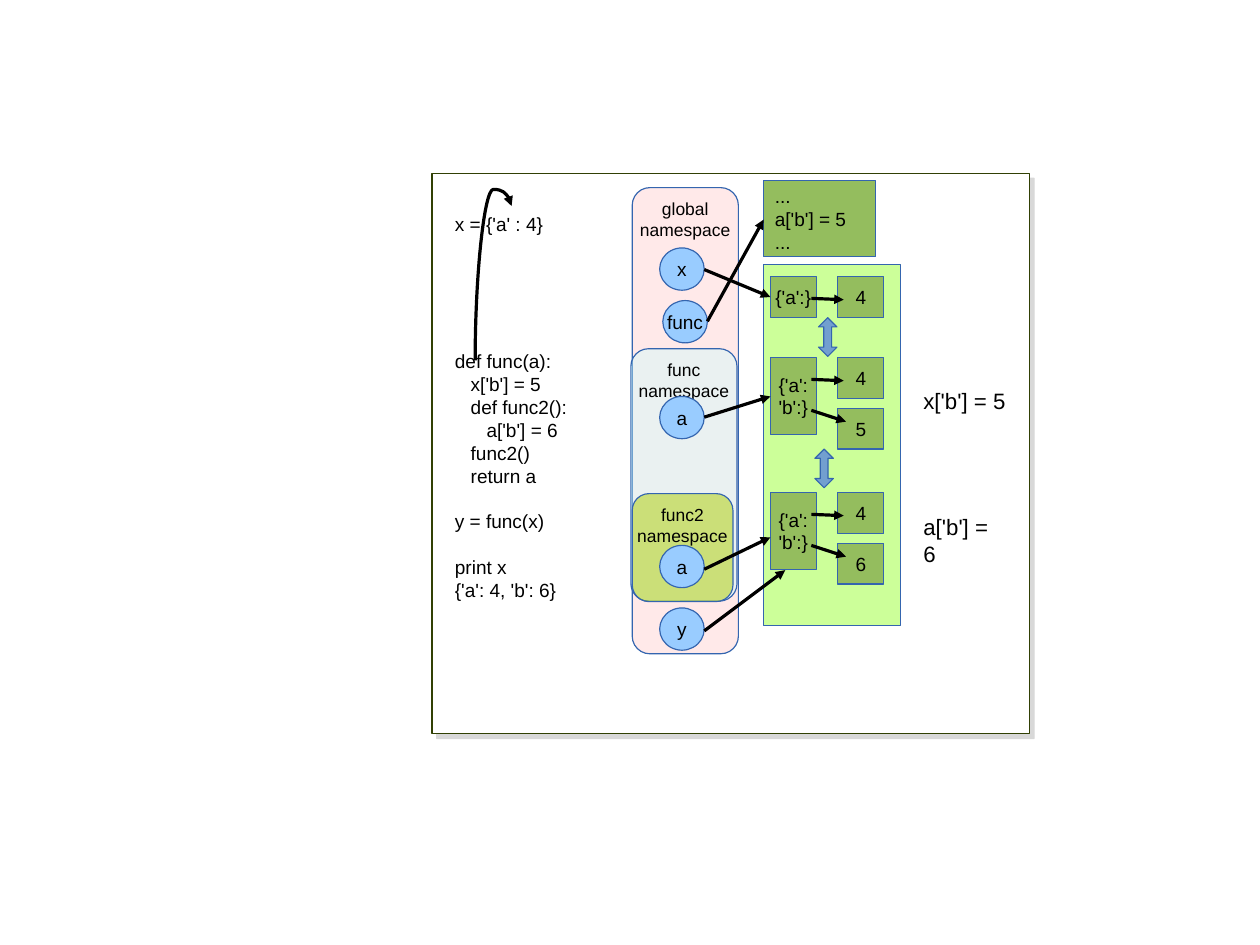
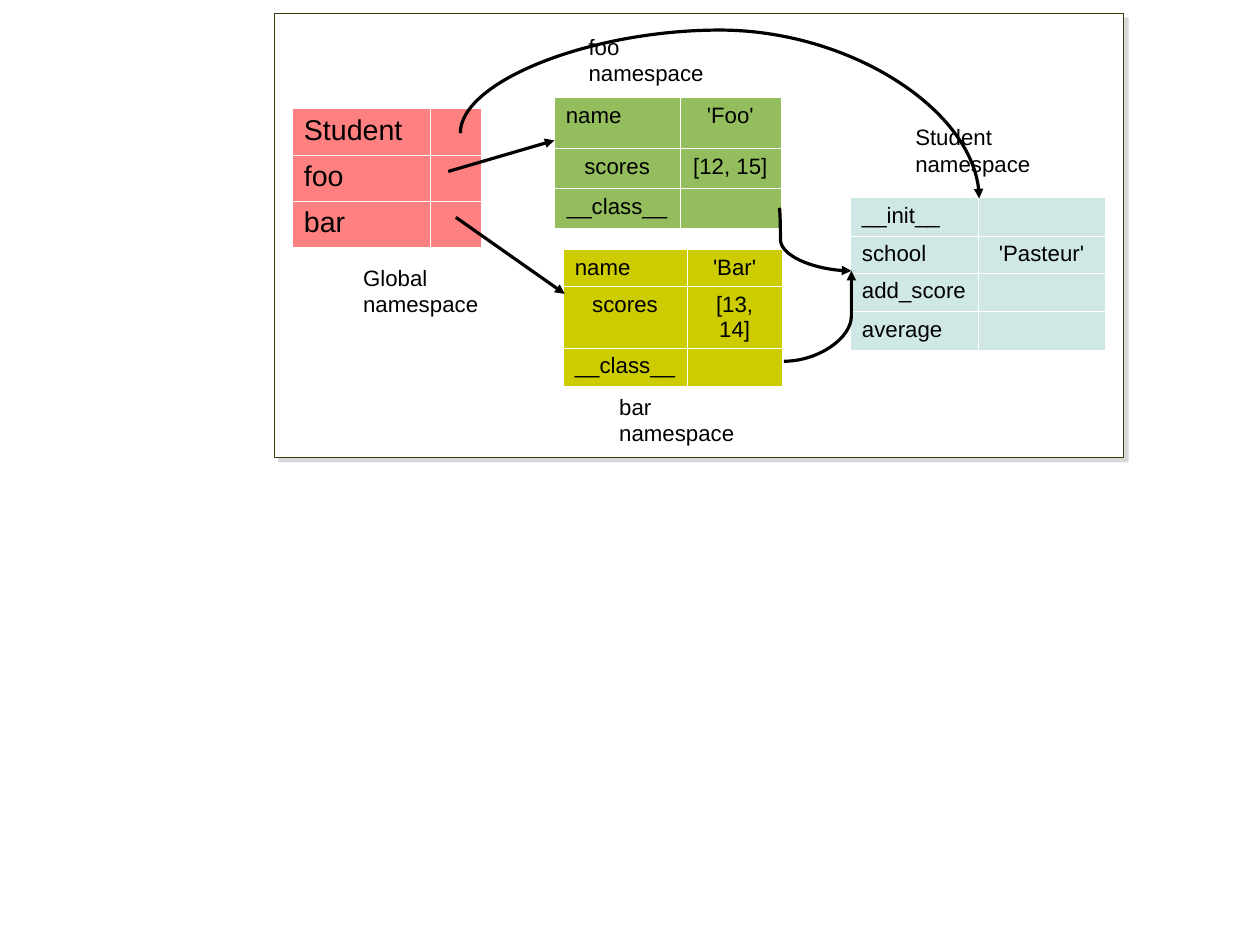
"""Build two slides on namespaces: nested function scopes and class instances."""
from lxml.etree import SubElement
from pptx import Presentation
from pptx.dml.color import RGBColor
from pptx.enum.shapes import MSO_CONNECTOR, MSO_SHAPE
from pptx.enum.text import MSO_ANCHOR, PP_ALIGN
from pptx.oxml.ns import qn
from pptx.util import Cm, Pt

COLORS = {
    "white": "FFFFFF", "black": "000000", "frame": "314004", "shadow": "808080",
    "outline": "3465AF", "name": "99CCFF", "heap": "CCFF99", "object": "94BD5E",
    "link": "729FCF", "global": "FFC8C8", "func": "CCFFFF", "func2": "AECF00",
    "red": "FF8080", "yellow": "CCCC00", "teal": "CFE7E5",
}
FONT = "Arial"
LEFT, CENTER = PP_ALIGN.LEFT, PP_ALIGN.CENTER
RECTANGLE = MSO_SHAPE.RECTANGLE


def add_box(page, preset, place, lines=(), fill=None, opacity=None, line="outline",
            size=12, align=CENTER, anchor=MSO_ANCHOR.MIDDLE, wrap=False):
    """Add a shape, or a text box without preset; lines are (blank rows above, text)."""
    lengths = [Cm(value) for value in place]
    if preset is None:
        box = page.shapes.add_textbox(*lengths)
    else:
        box = page.shapes.add_shape(preset, *lengths)
        box.shadow.inherit = False
        box.fill.solid()
        box.fill.fore_color.rgb = RGBColor.from_string(COLORS[fill])
        box.line.color.rgb = RGBColor.from_string(COLORS[line])
        box.line.width = 0
        if opacity:
            color = box.fill._xPr.find(qn("a:solidFill"))[0]
            SubElement(color, qn("a:alpha"), val=str(opacity * 1000))
    frame = box.text_frame
    frame.word_wrap = wrap
    frame.vertical_anchor = anchor
    for index, (blanks, text) in enumerate(lines):
        para = frame.paragraphs[0] if index == 0 else frame.add_paragraph()
        pitch = 1.2 * size
        for name, value in {"alignment": align, "line_spacing": Pt(pitch),
                            "space_before": Pt(blanks * pitch)}.items():
            setattr(para, name, value)
        span = para.add_run()
        span.text = text
        for name, value in {"name": FONT, "size": Pt(size)}.items():
            setattr(span.font, name, value)
        span.font.color.rgb = RGBColor.from_string(COLORS["black"])
    return box


def connect(page, start, end, bend=None, rotation=0):
    """Add an arrow, curved when a bend is given."""
    kind = MSO_CONNECTOR.STRAIGHT if bend is None else MSO_CONNECTOR.CURVE
    arrow = page.shapes.add_connector(kind, *[Cm(value) for value in start + end])
    arrow.line.color.rgb = RGBColor.from_string(COLORS["black"])
    arrow.line.width = 0
    SubElement(arrow.line._get_or_add_ln(), qn("a:tailEnd"), type="triangle")
    properties = arrow._element.spPr
    SubElement(properties, qn("a:effectLst"))
    if bend is not None:
        guides = properties.find(qn("a:prstGeom")).get_or_add_avLst()
        SubElement(guides, qn("a:gd"), name="adj1", fmla=f"val {round(bend * 100000)}")
    if rotation:
        properties.find(qn("a:xfrm")).set("rot", str(rotation * 60000))


deck = Presentation()
deck.slide_width, deck.slide_height = Cm(28), Cm(21)
pages = []
for place in [(9.6, 3.86, 13.28, 12.45), (6.1, 0.3, 18.87, 9.86)]:
    page = deck.slides.add_slide(deck.slide_layouts[6])
    panel = add_box(page, RECTANGLE, place, fill="white", line="frame")
    panel.line.width = Pt(0.71)
    effects = panel._element.spPr.find(qn("a:effectLst"))
    shadow = SubElement(effects, qn("a:outerShdw"), dist=str(Pt(4.1)), dir="2700000",
                        algn="tl", rotWithShape="0")
    tint = SubElement(shadow, qn("a:srgbClr"), val=COLORS["shadow"])
    SubElement(tint, qn("a:alpha"), val="30000")
    pages.append(page)
scopes, classes = pages

code = [
    (0, "x = {'a' : 4}"),
    (5, "def func(a):"),
    (0, "   x['b'] = 5"),
    (0, "   def func2():"),
    (0, "      a['b'] = 6"),
    (0, "   func2()"),
    (0, "   return a"),
    (1, "y = func(x)"),
    (1, "print x"),
    (0, "{'a': 4, 'b': 6}"),
]
add_box(scopes, None, (9.86, 4.6, 3, 9.32), code, align=LEFT, anchor=MSO_ANCHOR.TOP)

for name, opacity, place in [
    ("global", 40, (14.05, 4.17, 2.36, 10.36)),
    ("func", 40, (14.02, 7.75, 2.36, 5.61)),
    ("func2", 50, (14.05, 10.97, 2.24, 2.4)),
]:
    add_box(scopes, MSO_SHAPE.ROUNDED_RECTANGLE, place, [(0, name), (0, "namespace")],
            fill=name, opacity=opacity, size=11, anchor=MSO_ANCHOR.TOP)

add_box(scopes, RECTANGLE, (16.97, 5.87, 3.05, 8.03), fill="heap")
add_box(scopes, RECTANGLE, (16.97, 4.01, 2.49, 1.7),
        [(0, "..."), (0, "a['b'] = 5"), (0, "...")], fill="object", align=LEFT)

for name, left, top in [("x", 14.66, 5.51), ("func", 14.73, 6.68), ("a", 14.66, 8.81),
                        ("a", 14.66, 12.12), ("y", 14.66, 13.51)]:
    add_box(scopes, MSO_SHAPE.OVAL, (left, top, 0.99, 0.94), [(0, name)], fill="name")

value_step = 1.12
for top, height, keys, values in [
    (6.15, 0.91, ["{'a':}"], ["4"]),
    (7.95, 1.7, ["{'a':", "'b':}"], ["4", "5"]),
    (10.95, 1.7, ["{'a':", "'b':}"], ["4", "6"]),
]:
    add_box(scopes, RECTANGLE, (17.12, top, 1.02, height),
            [(0, key) for key in keys], fill="object")
    for row, value in enumerate(values):
        add_box(scopes, RECTANGLE, (18.62, top + row * value_step, 1.02, 0.91),
                [(0, value)], fill="object")
        connect(scopes, (18.03, top + 0.48 + row * 0.69),
                (18.75 + row * 0.05, top + 0.51 + row * 0.91))

for start, end in [
    ((15.65, 5.99), (17.12, 6.6)),
    ((15.72, 7.14), (16.97, 4.88)),
    ((15.65, 9.27), (17.12, 8.81)),
    ((15.65, 12.65), (17.12, 11.94)),
    ((15.65, 14.02), (17.45, 12.67)),
]:
    connect(scopes, start, end)
connect(scopes, (12.68, 6.7), (9.25, 5.89), bend=1.108, rotation=90)

for left, top in [(18.19, 7.06), (18.11, 9.98)]:
    link = add_box(scopes, MSO_SHAPE.UP_DOWN_ARROW, (left, top, 0.41, 0.86), fill="link")
    link.adjustments[0], link.adjustments[1] = 0.5, 0.42

for top, text in [(8.48, "x['b'] = 5"), (11.28, "a['b'] = 6")]:
    add_box(scopes, None, (20.27, top, 2.34, 0.81), [(0, text)], size=14, align=LEFT,
            anchor=MSO_ANCHOR.TOP)

tables = [
    ("object", 14, (12.32, 2.16), (2.79, 2.24), (1.14, 0.89, 0.87),
     [("name", "'Foo'"), ("scores", "[12, 15]"), ("__class__", "")]),
    ("teal", 14, (18.9, 4.39), (2.83, 2.83), (0.82,) * 4,
     [("__init__", ""), ("school", "'Pasteur'"), ("add_score", ""), ("average", "")]),
    ("red", 18, (6.5, 2.41), (3.05, 1.14), (0.99, 0.97, 0.97),
     [("Student", ""), ("foo", ""), ("bar", "")]),
    ("yellow", 14, (12.52, 5.54), (2.74, 2.13), (0.82, 1.37, 0.82),
     [("name", "'Bar'"), ("scores", "[13, 14]"), ("__class__", "")]),
]
for fill, size, corner, widths, heights, rows in tables:
    extent = corner + (sum(widths), sum(heights))
    table = classes.shapes.add_table(len(rows), len(widths),
                                     *[Cm(value) for value in extent]).table
    table.first_row = table.horz_banding = False
    for column, width in zip(table.columns, widths):
        column.width = Cm(width)
    for row, height in zip(table.rows, heights):
        row.height = Cm(height)
    for row_index, texts in enumerate(rows):
        for column_index, text in enumerate(texts):
            cell = table.cell(row_index, column_index)
            borders = cell._tc.get_or_add_tcPr()
            for side in ("lnL", "lnR", "lnT", "lnB"):
                border = SubElement(borders, qn(f"a:{side}"), w=str(Pt(0.06)))
                paint = SubElement(border, qn("a:solidFill"))
                SubElement(paint, qn("a:srgbClr"), val=COLORS["white"])
            cell.fill.solid()
            cell.fill.fore_color.rgb = RGBColor.from_string(COLORS[fill])
            para = cell.text_frame.paragraphs[0]
            if not text:
                SubElement(para._p, qn("a:endParaRPr"), sz=str(size * 100))
                continue
            centered = column_index == 1 or text in ("scores", "__class__")
            para.alignment = CENTER if centered else LEFT
            span = para.add_run()
            span.text = text
            for name, value in {"name": FONT, "size": Pt(size)}.items():
                setattr(span.font, name, value)
            span.font.color.rgb = RGBColor.from_string(COLORS["black"])

for name, left, top in [("Global", 7.82, 5.74), ("bar", 13.51, 8.61),
                        ("foo", 12.83, 0.61), ("Student", 20.09, 2.62)]:
    add_box(classes, None, (left, top, 3.2, 1.37), [(0, name), (0, "namespace")],
            size=14, align=LEFT, anchor=MSO_ANCHOR.TOP, wrap=True)

for start, end, bend, rotation in [
    ((9.96, 3.81), (12.32, 3.12), None, 0),
    ((10.13, 4.83), (12.55, 6.53), None, 0),
    ((17.32, 4.62), (18.92, 6.02), 0.015, 0),
    ((17.42, 8.03), (18.92, 6.02), 1, 0),
    ((16.72, -2.08), (15.27, 9.45), -1.58, 270),
]:
    connect(classes, start, end, bend, rotation)

deck.save("out.pptx")
